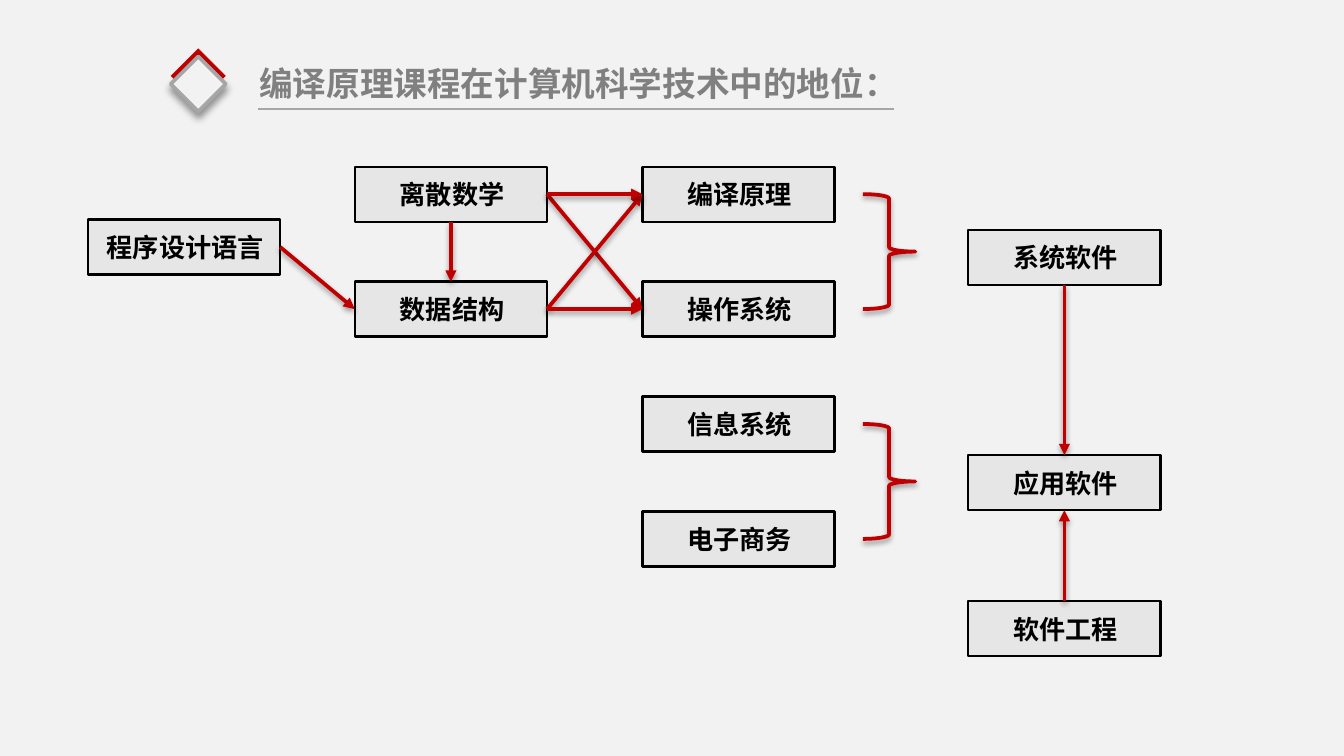
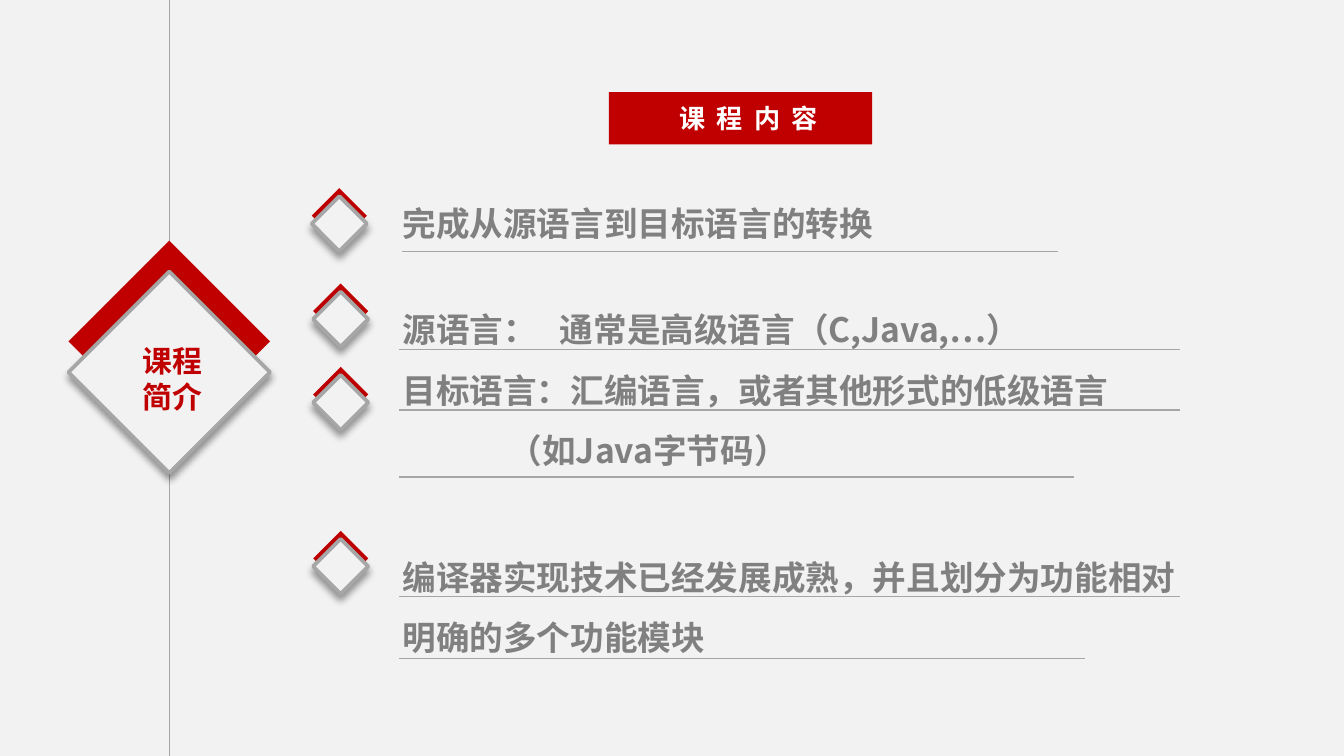
from dataclasses import dataclass
from typing import Any, NamedTuple

from lxml.etree import SubElement
from pptx import Presentation
from pptx.dml.color import RGBColor
from pptx.enum.shapes import MSO_CONNECTOR, MSO_SHAPE
from pptx.enum.text import MSO_ANCHOR, MSO_AUTO_SIZE, PP_ALIGN
from pptx.oxml.ns import qn
from pptx.util import Emu, Inches, Pt

WIDTH = Inches(10)
HEIGHT = Emu(WIDTH * 9 // 16)
GRID_COLUMNS = 100
GRID_ROWS = 56.25
FONT = "Noto Sans CJK SC"

PAPER = RGBColor(0xF2, 0xF2, 0xF2)
RED = RGBColor(0xC0, 0x00, 0x00)
RULE_GRAY = RGBColor(0xA6, 0xA6, 0xA6)
TEXT_GRAY = RGBColor(0x80, 0x80, 0x80)
NODE_GRAY = RGBColor(0xE7, 0xE6, 0xE6)
BLACK = RGBColor(0x00, 0x00, 0x00)
WHITE = RGBColor(0xFF, 0xFF, 0xFF)

TITLE_ONLY, COMPARISON = 5, 4
TOP, LEFT, BOTTOM, RIGHT = range(4)

NODE_COLUMNS = (6.55, 26.4, 47.8, 72.05)
NODE_TOP, NODE_PITCH = 12.4, 8.55
NODE_WIDTH, NODE_HEIGHT = 14.3, 4.1


class Box(NamedTuple):
    column: float
    row: float
    columns: float
    rows: float

    def place(self) -> tuple[Emu, Emu, Emu, Emu]:
        return across(self.column), down(self.row), across(self.columns), down(self.rows)


class Shadow(NamedTuple):
    alpha: int
    blur: float
    distance: float


class Line(NamedTuple):
    text: str
    indent: float = 0
    space_tracking: int = 0


class Node(NamedTuple):
    label: str
    column: int
    row: float


class Link(NamedTuple):
    source: str
    source_side: int
    target: str
    target_side: int


class Rule(NamedTuple):
    start: float
    row: float
    end: float


class Badge(NamedTuple):
    column: float
    row: float
    size: float = 4.1
    drop: float = 0.6


class Topic(NamedTuple):
    box: Box
    lines: tuple[Line, ...]
    spacing: float


@dataclass(frozen=True)
class TextStyle:
    size: float
    color: RGBColor
    align: PP_ALIGN = PP_ALIGN.LEFT
    anchor: MSO_ANCHOR = MSO_ANCHOR.TOP
    wrap: bool = True
    left: float = 0.7
    right: float = 0.7
    spacing: float = 1.0
    tracking: int = 0


BADGE_SHADOW = Shadow(40, 4, 3)
LINK_SHADOW = Shadow(38, 3.1, 1.6)

HEADING = TextStyle(18, TEXT_GRAY, left=5.7, right=0)
NODE_TEXT = TextStyle(14, BLACK, PP_ALIGN.CENTER, MSO_ANCHOR.MIDDLE, False, 0.2, 0)
BAND_TEXT = TextStyle(14, WHITE, PP_ALIGN.CENTER, MSO_ANCHOR.MIDDLE, left=1.9, tracking=600)
SECTION_TEXT = TextStyle(16, RED, PP_ALIGN.CENTER, wrap=False)

NODES = (
    Node("程序设计语言", 0, 0.46),
    Node("离散数学", 1, 0),
    Node("数据结构", 1, 1),
    Node("编译原理", 2, 0),
    Node("操作系统", 2, 1),
    Node("信息系统", 2, 2),
    Node("电子商务", 2, 3),
    Node("系统软件", 3, 0.55),
    Node("应用软件", 3, 2.51),
    Node("软件工程", 3, 3.78),
)
LINKS = (
    Link("程序设计语言", RIGHT, "数据结构", LEFT),
    Link("离散数学", BOTTOM, "数据结构", TOP),
    Link("离散数学", RIGHT, "操作系统", LEFT),
    Link("数据结构", RIGHT, "编译原理", LEFT),
    Link("离散数学", RIGHT, "编译原理", LEFT),
    Link("数据结构", RIGHT, "操作系统", LEFT),
    Link("系统软件", BOTTOM, "应用软件", TOP),
    Link("软件工程", TOP, "应用软件", BOTTOM),
)
TOPICS = (
    Topic(Box(24.2, 14.7, 41.8, 3.7), (Line("完成从源语言到目标语言的转换"),), 1),
    Topic(
        Box(24.2, 21.1, 64.5, 13.8),
        (
            Line("源语言： 通常是高级语言（C,Java,…）", space_tracking=820),
            Line("目标语言：汇编语言，或者其他形式的低级语言"),
            Line("（如Java字节码）", indent=7.9),
        ),
        1.5,
    ),
    Topic(
        Box(24.2, 39.5, 64.5, 9.3),
        (Line("编译器实现技术已经发展成熟，并且划分为功能相对明确的多个功能模块"),),
        1.5,
    ),
)
TOPIC_BADGES = (Badge(23.2, 14), Badge(23.3, 21.1), Badge(23.3, 27.3), Badge(23.3, 39.5))
TOPIC_RULES = (
    Rule(29.9, 18.7, 78.7),
    Rule(29.7, 26, 87.8),
    Rule(29.7, 30.5, 87.8),
    Rule(29.7, 35.5, 79.9),
    Rule(29.7, 44.4, 87.8),
    Rule(29.7, 49, 80.7),
)


def across(columns: float) -> Emu:
    return Emu(round(WIDTH * columns / GRID_COLUMNS))


def down(rows: float) -> Emu:
    return Emu(round(HEIGHT * rows / GRID_ROWS))


def apply(target: Any, formats: dict[str, Any]) -> None:
    for attribute, value in formats.items():
        setattr(target, attribute, value)


def move(holder: Any, box: Box) -> None:
    apply(holder, dict(zip(("left", "top", "width", "height"), box.place())))


def add_shadow(shape: Any, shadow: Shadow | None) -> None:
    properties = shape._element.spPr
    effects = properties.find(qn("a:effectLst"))
    if effects is None:
        effects = SubElement(properties, qn("a:effectLst"))
    if shadow:
        outer = SubElement(effects, qn("a:outerShdw"), blurRad=str(Pt(shadow.blur)),
                           dist=str(Pt(shadow.distance)), dir="5400000", rotWithShape="0")
        color = SubElement(outer, qn("a:srgbClr"), val=str(BLACK))
        SubElement(color, qn("a:alpha"), val=str(shadow.alpha * 1000))


def add_words(paragraph: Any, words: str, style: TextStyle, tracking: int) -> None:
    run = paragraph.add_run()
    run.text = words
    apply(run.font, {"size": Pt(style.size), "bold": True, "name": FONT})
    run.font.color.rgb = style.color
    properties = run._r.get_or_add_rPr()
    SubElement(properties, qn("a:ea"), typeface=FONT)
    if tracking:
        properties.set("spc", str(tracking))


def write(holder: Any, lines: tuple[Line, ...], style: TextStyle) -> None:
    frame = holder.text_frame
    apply(frame, {
        "auto_size": MSO_AUTO_SIZE.NONE, "word_wrap": style.wrap,
        "vertical_anchor": style.anchor,
        "margin_left": across(style.left), "margin_right": across(style.right),
        "margin_top": down(0.4), "margin_bottom": down(0.4),
    })
    for number, line in enumerate(lines):
        paragraph = frame.add_paragraph() if number else frame.paragraphs[0]
        properties = paragraph._p.get_or_add_pPr()
        properties.set("marL", str(across(line.indent)))
        properties.set("indent", "0")
        SubElement(properties, qn("a:buNone"))
        apply(paragraph, {
            "alignment": style.align, "line_spacing": style.spacing,
            "space_before": Pt(0), "space_after": Pt(0),
        })
        for words in filter(None, line.text.partition(" ")):
            add_words(paragraph, words, style,
                      line.space_tracking if words == " " else style.tracking)


def draw_shape(slide: Any, kind: MSO_SHAPE, box: Box, fill: RGBColor | None = None,
               outline: RGBColor | None = None, weight: float = 2,
               shadow: Shadow | None = None) -> Any:
    shape = slide.shapes.add_shape(kind, *box.place())
    shape.shadow.inherit = False
    if fill is None:
        shape.fill.background()
    else:
        shape.fill.solid()
        shape.fill.fore_color.rgb = fill
    if outline is None:
        shape.line.fill.background()
    else:
        shape.line.color.rgb = outline
        shape.line.width = Pt(weight)
    add_shadow(shape, shadow)
    return shape


def draw_line(slide: Any, start: tuple[float, float], end: tuple[float, float],
              color: RGBColor = RULE_GRAY, weight: float = 0.75,
              arrow: bool = False, shadow: Shadow | None = None) -> Any:
    line = slide.shapes.add_connector(
        MSO_CONNECTOR.STRAIGHT, across(start[0]), down(start[1]), across(end[0]), down(end[1]))
    line.line.color.rgb = color
    line.line.width = Pt(weight)
    if arrow:
        SubElement(line._element.spPr.find(qn("a:ln")), qn("a:tailEnd"), type="triangle")
    add_shadow(line, shadow)
    return line


def draw_rule(slide: Any, rule: Rule) -> None:
    draw_line(slide, (rule.start, rule.row), (rule.end, rule.row))


def draw_badge(slide: Any, badge: Badge) -> None:
    column, row, size, drop = badge
    draw_shape(slide, MSO_SHAPE.FLOWCHART_DECISION, Box(column, row, size, size), RED)
    draw_shape(slide, MSO_SHAPE.FLOWCHART_DECISION, Box(column, row + drop, size, size),
               PAPER, RULE_GRAY, shadow=BADGE_SHADOW)


def draw_node(slide: Any, node: Node) -> Any:
    box = Box(NODE_COLUMNS[node.column], NODE_TOP + NODE_PITCH * node.row,
              NODE_WIDTH, NODE_HEIGHT)
    shape = draw_shape(slide, MSO_SHAPE.RECTANGLE, box, NODE_GRAY, BLACK, 1.25)
    write(shape, (Line(node.label),), NODE_TEXT)
    return shape


def draw_link(slide: Any, link: Link, nodes: dict[str, Any]) -> None:
    arrow = draw_line(slide, (0, 0), (1, 1), RED, 2, True, LINK_SHADOW)
    arrow.begin_connect(nodes[link.source], link.source_side)
    arrow.end_connect(nodes[link.target], link.target_side)


def build_position_slide(deck: Any) -> None:
    slide = deck.slides.add_slide(deck.slide_layouts[TITLE_ONLY])
    move(slide.shapes.title, Box(13.6, 4.25, 54.4, 3.7))
    write(slide.shapes.title, (Line("编译原理课程在计算机科学技术中的地位："),), HEADING)
    draw_rule(slide, Rule(19.2, 8.1, 66.5))
    draw_badge(slide, Badge(12.7, 3.6))
    nodes = {node.label: draw_node(slide, node) for node in NODES}
    for link in LINKS:
        draw_link(slide, link, nodes)
    for first_row in (0, 2):
        top = NODE_TOP + NODE_PITCH * first_row + NODE_HEIGHT / 2
        draw_shape(slide, MSO_SHAPE.RIGHT_BRACE, Box(64.2, top, 3.9, NODE_PITCH),
                   outline=RED, shadow=LINK_SHADOW)


def build_content_slide(deck: Any) -> None:
    slide = deck.slides.add_slide(deck.slide_layouts[COMPARISON])
    band = slide.shapes.title
    move(band, Box(45.3, 6.85, 19.6, 3.9))
    band.fill.solid()
    band.fill.fore_color.rgb = RED
    write(band, (Line("课程内容"),), BAND_TEXT)
    bodies = [holder for holder in slide.placeholders if holder.placeholder_format.idx]
    for body, topic in zip(bodies, TOPICS):
        move(body, topic.box)
        write(body, topic.lines, TextStyle(18, TEXT_GRAY, left=5.75, right=0,
                                           spacing=topic.spacing))
    for spare in bodies[len(TOPICS):]:
        spare._element.getparent().remove(spare._element)
    draw_line(slide, (12.6, 0), (12.6, GRID_ROWS))
    draw_badge(slide, Badge(5.1, 17.9, 15, 2.3))
    section = slide.shapes.add_textbox(*Box(9.9, 25.1, 5.9, 6.1).place())
    write(section, (Line("课程"), Line("简介")), SECTION_TEXT)
    for rule in TOPIC_RULES:
        draw_rule(slide, rule)
    for badge in TOPIC_BADGES:
        draw_badge(slide, badge)


def main() -> None:
    deck = Presentation()
    apply(deck, {"slide_width": WIDTH, "slide_height": HEIGHT})
    backdrop = deck.slide_master.background.fill
    backdrop.solid()
    backdrop.fore_color.rgb = PAPER
    build_position_slide(deck)
    build_content_slide(deck)
    deck.save("out.pptx")


if __name__ == "__main__":
    main()
